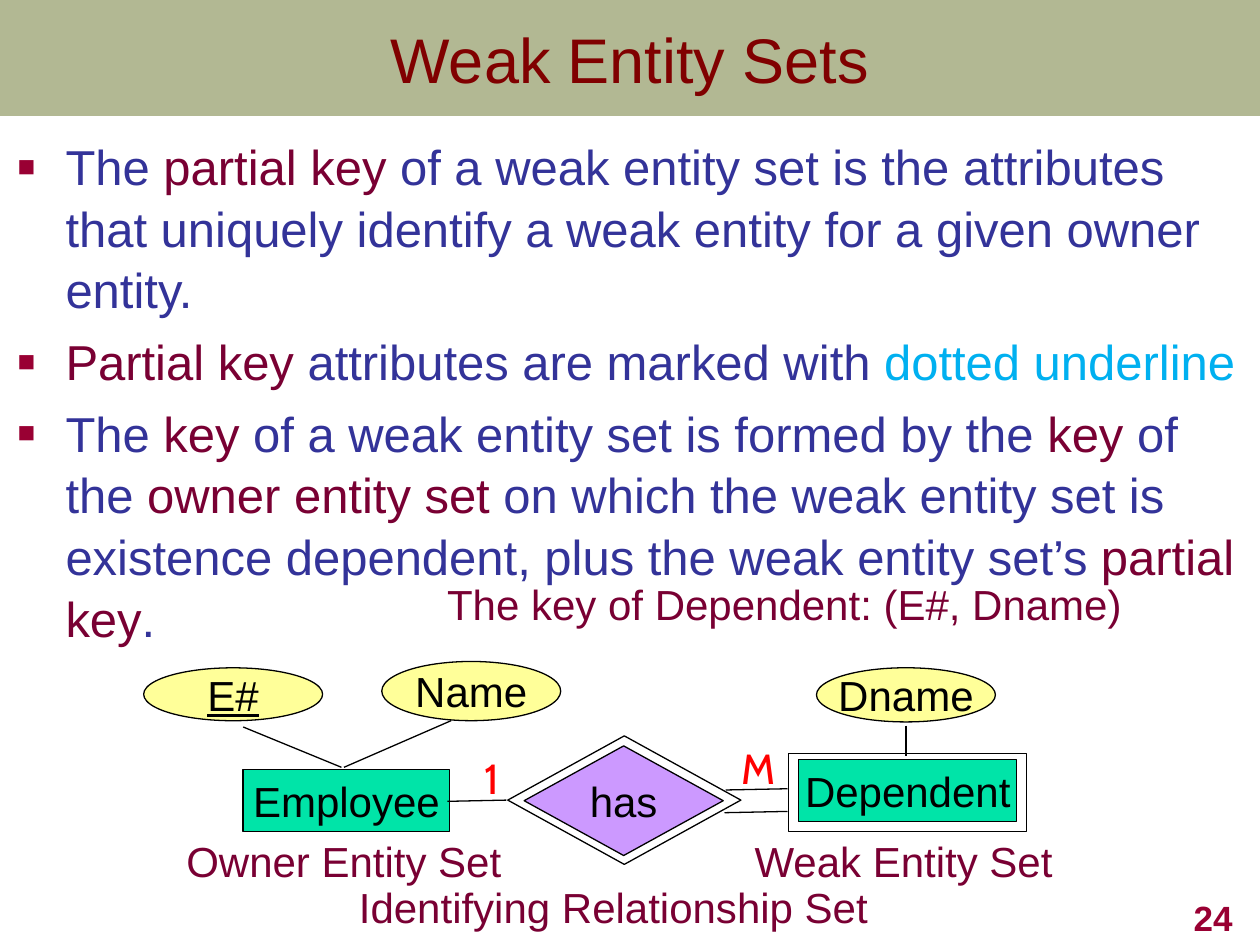
import pptx
import pptx.dml.color
import pptx.enum.shapes
import pptx.enum.text
import pptx.oxml.ns
import pptx.util
from lxml import etree

Inches, Pt = pptx.util.Inches, pptx.util.Pt
SHAPE = pptx.enum.shapes.MSO_SHAPE
ALIGN = pptx.enum.text.PP_ALIGN
ANCHOR = pptx.enum.text.MSO_ANCHOR
FIT = pptx.enum.text.MSO_AUTO_SIZE

COLORS = {
    "band": "677228", "title": "800000", "body": "333399", "term": "790033",
    "dotted": "00B0F0", "bullet": "990033", "attribute": "FFFF99",
    "entity": "00E4A8", "relationship": "CC99FF", "ink": "000000", "cardinality": "FF0000",
}


def rgb(name):
    return pptx.dml.color.RGBColor.from_string(COLORS[name])


def sub(parent, tag, **attrs):
    return etree.SubElement(parent, pptx.oxml.ns.qn(tag), **attrs)


class ErSlide:
    """Style and drawing methods for one entity-relationship slide."""

    def __init__(self, slide, font="Arial", size=24, line=0.75):
        self.slide, self.font, self.size, self.line = slide, font, size, line

    def run(self, p, text, color, size=None, font=None, bold=False, underline=False):
        r = p.add_run()
        r.text = text
        r.font.name = font or self.font
        r.font.size = Pt(size or self.size)
        r.font.color.rgb = rgb(color)
        r.font.bold = bold
        r.font.underline = underline

    def place(self, sp, box):
        sp.left, sp.top, sp.width, sp.height = map(Inches, box)

    def band(self, *box):
        sp = self.slide.shapes.add_shape(SHAPE.RECTANGLE, *map(Inches, box))
        sp.shadow.inherit = False
        sp.line.fill.background()
        sp.fill.solid()
        sp.fill.fore_color.rgb = rgb("band")
        clr = next(sp._element.spPr.iter(pptx.oxml.ns.qn("a:srgbClr")))
        sub(clr, "a:alpha", val="50000")
        self.slide.shapes._spTree.insert(2, sp._element)

    def title(self, text, *box):
        sp = self.slide.shapes.title
        self.place(sp, box)
        tf = sp.text_frame
        tf.auto_size = FIT.NONE
        tf.vertical_anchor = ANCHOR.MIDDLE
        p = tf.paragraphs[0]
        p.alignment = ALIGN.CENTER
        self.run(p, text, "title", 36)

    def bullets(self, items, *box):
        sp = self.slide.placeholders[1]
        self.place(sp, box)
        tf = sp.text_frame
        tf.auto_size = FIT.NONE
        tf.margin_right = 0
        for i, runs in enumerate(items):
            p = tf.add_paragraph() if i else tf.paragraphs[0]
            pPr = p._p.get_or_add_pPr()
            pPr.set("marL", str(Inches(0.38)))
            pPr.set("indent", str(Inches(-0.38)))
            sub(sub(pPr, "a:buClr"), "a:srgbClr", val=COLORS["bullet"])
            sub(pPr, "a:buSzPct", val="60000")
            sub(pPr, "a:buFont", typeface=self.font)
            sub(pPr, "a:buChar", char="■")
            p.line_spacing = 1.05
            p.space_before = Pt(5.6 if i else 0)
            for text, color in runs:
                self.run(p, text, color, 28)

    def node(self, kind, box, fill=None, text=None, underline=False):
        sp = self.slide.shapes.add_shape(kind, *map(Inches, box))
        sp.shadow.inherit = False
        sp.line.color.rgb = rgb("ink")
        sp.line.width = Pt(self.line)
        if fill:
            sp.fill.solid()
            sp.fill.fore_color.rgb = rgb(fill)
        else:
            sp.fill.background()
        if text:
            tf = sp.text_frame
            tf.word_wrap = False
            tf.vertical_anchor = ANCHOR.MIDDLE
            p = tf.paragraphs[0]
            p.alignment = ALIGN.CENTER
            self.run(p, text, "ink", underline=underline)

    def link(self, *ends):
        kind = pptx.enum.shapes.MSO_CONNECTOR.STRAIGHT
        sp = self.slide.shapes.add_connector(kind, *map(Inches, ends))
        sp.line.color.rgb = rgb("ink")
        sp.line.width = Pt(self.line)
        sub(sp._element.spPr, "a:effectLst")

    def label(self, text, left, top, width, color="term", font=None):
        sp = self.slide.shapes.add_textbox(*map(Inches, (left, top, width, 0.5)))
        tf = sp.text_frame
        tf.word_wrap = False
        tf.auto_size = FIT.SHAPE_TO_FIT_TEXT
        self.run(tf.paragraphs[0], text, color, font=font)

    def page_number(self, text, *box):
        tf = self.slide.shapes.add_textbox(*map(Inches, box)).text_frame
        tf.word_wrap = True
        tf.vertical_anchor = ANCHOR.BOTTOM
        p = tf.paragraphs[0]
        p.alignment = ALIGN.RIGHT
        self.run(p, text, "bullet", 20, bold=True)


def main():
    prs = pptx.Presentation()
    prs.slide_width, prs.slide_height = Inches(10), Inches(7.5)
    s = ErSlide(prs.slides.add_slide(prs.slide_layouts[1]))

    s.band(0, 0, 10, 0.92)
    s.title("Weak Entity Sets", 0, 0, 10, 0.92)
    s.bullets([
        [("The ", "body"), ("partial key ", "term"),
         ("of a weak entity set is the attributes that uniquely identify "
          "a weak entity for a given owner entity.", "body")],
        [("Partial key ", "term"), ("attributes are marked with ", "body"),
         ("dotted underline", "dotted")],
        [("The ", "body"), ("key", "term"),
         (" of a weak entity set is formed by the ", "body"), ("key", "term"),
         (" of the ", "body"), ("owner entity set ", "term"),
         ("on which the weak entity set is existence dependent, "
          "plus the weak entity set’s ", "body"),
         ("partial key", "term"), (".", "body")],
    ], 0.04, 1.01, 9.88, 3.5)

    s.node(SHAPE.OVAL, (6.48, 5.3, 1.42, 0.43), "attribute", "Dname")
    s.node(SHAPE.OVAL, (3.03, 5.25, 1.42, 0.47), "attribute", "Name")
    s.node(SHAPE.OVAL, (1.14, 5.3, 1.42, 0.42), "attribute", "E#", underline=True)
    s.node(SHAPE.RECTANGLE, (1.93, 6.11, 1.64, 0.49), "entity", "Employee")
    s.node(SHAPE.RECTANGLE, (6.34, 6.03, 1.73, 0.49), "entity", "Dependent")
    s.node(SHAPE.RECTANGLE, (6.26, 5.98, 1.89, 0.62))
    s.node(SHAPE.DIAMOND, (4.16, 5.92, 1.58, 0.87), "relationship", "has")
    s.node(SHAPE.DIAMOND, (4.03, 5.84, 1.85, 1.02))

    for ends in [
        (1.93, 5.77, 2.71, 6.09), (3.58, 5.72, 2.73, 6.09), (7.19, 5.76, 7.19, 6),
        (3.55, 6.36, 4.02, 6.35), (5.76, 6.27, 6.25, 6.26), (5.75, 6.45, 6.25, 6.44),
    ]:
        s.link(*ends)

    s.label("1", 3.75, 5.92, 0.39, "cardinality", "Cabin")
    s.label("M", 5.79, 5.84, 0.46, "cardinality", "Cabin")
    s.label("Owner Entity Set", 1.38, 6.58, 2.82)
    s.label("Identifying Relationship Set", 2.75, 6.95, 4.38)
    s.label("Weak Entity Set", 5.89, 6.58, 2.68)
    s.label("The key of Dependent: (E#, Dname)", 3.45, 4.54, 5.61)
    s.page_number("24", 7.8, 7, 2.08, 0.5)
    prs.save("out.pptx")


if __name__ == "__main__":
    main()
